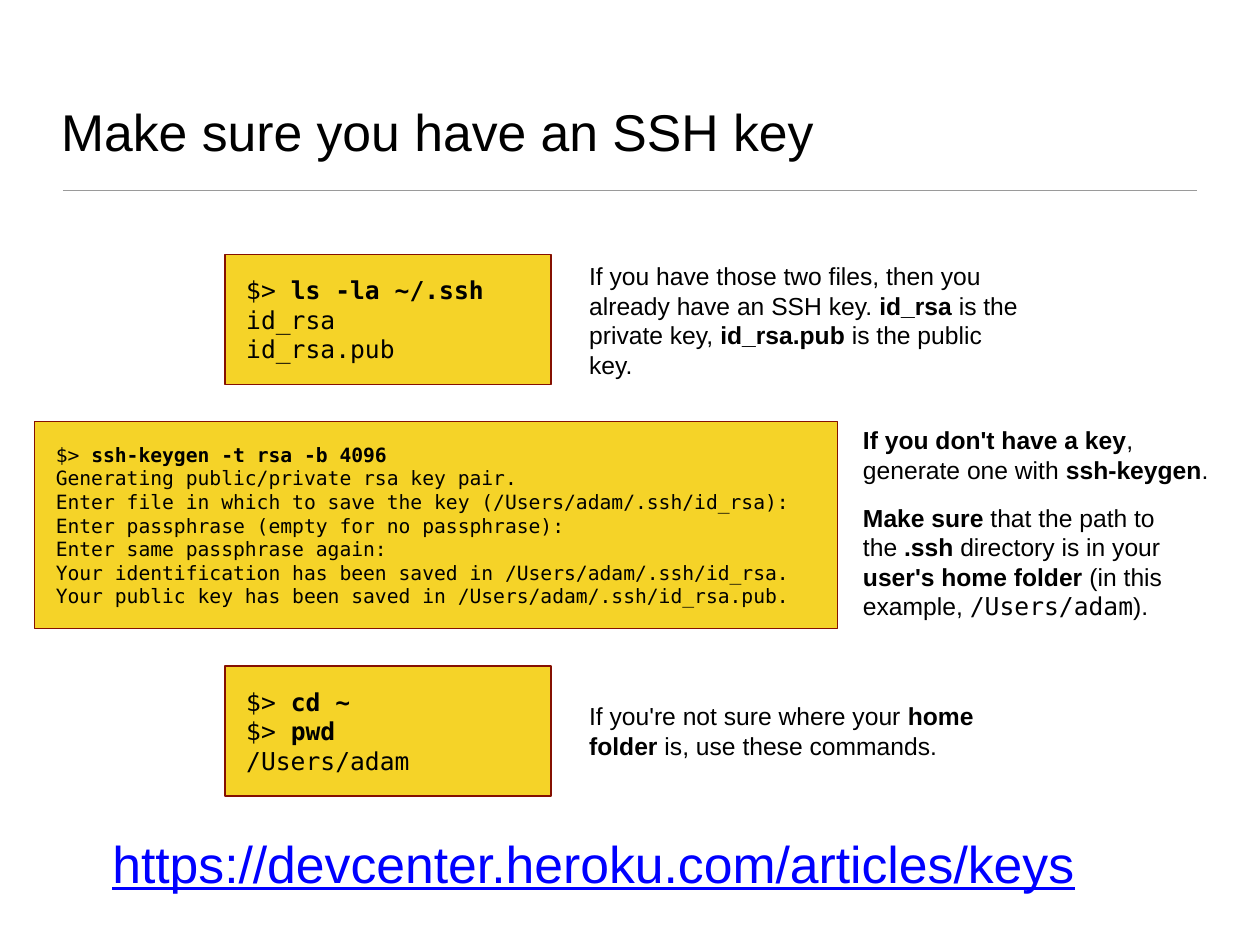
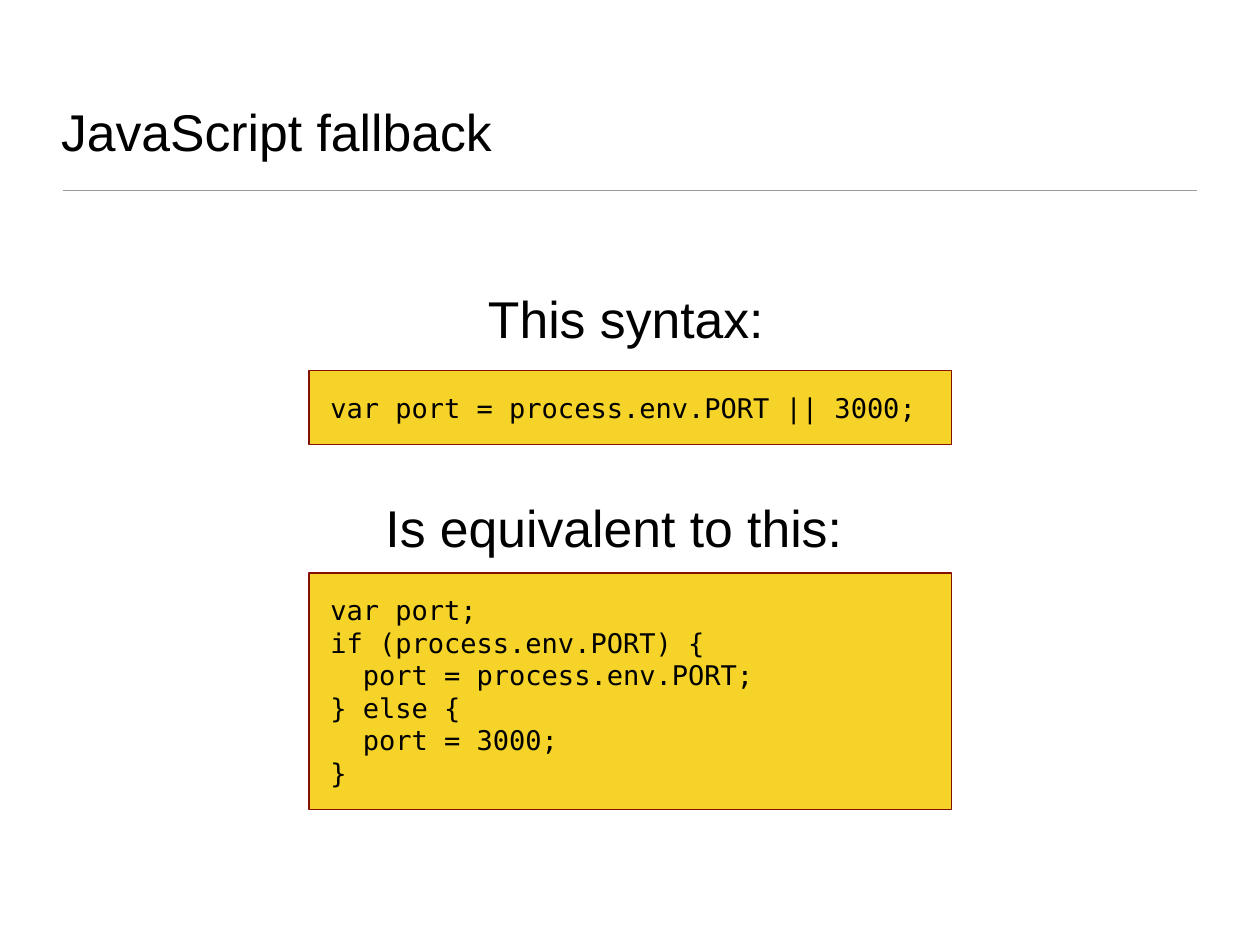
from pptx import Presentation
from pptx.dml.color import RGBColor
from pptx.enum.shapes import MSO_CONNECTOR as CONN, MSO_SHAPE as SHAPE
from pptx.enum.text import MSO_ANCHOR as ANCHOR, MSO_AUTO_SIZE as AUTO, PP_ALIGN as ALIGN
from pptx.oxml.ns import qn
from pptx.util import Cm, Pt
from lxml import etree

# Shared style
SANS, MONO = "Arial", "DejaVu Sans Mono"
BLACK, BLUE, YELLOW, RED, GREY = "000000", "0000FF", "F5D328", "851001", "9A9A9A"
SLIDE_SIZE = 36.12, 27.1
TITLE_BOX = 1.6, 0.91, 32.94, 3.89
RULE_LEFT, RULE_RIGHT, RULE_TOP = 1.8, 34.32, 5.46
TEXT_INSET, CODE_INSET = 0.15, 0.61
HEADING_SIZE, HEADING_HEIGHT = 42, 2.06

# Slide 1: rows of a code box and its notes; **bold**, `monospace`
KEY_TITLE = "Make sure you have an SSH key"
ROWS_TOP, ROW_GAP = 7.29, 1.07
KEY_ROWS = [
    # Code: left, width, height, size, lines.  Notes: left, width, (offset, height, text)
    dict(code=(6.45, 9.35, 3.73, 20, ["$> **ls -la ~/.ssh**", "id_rsa", "id_rsa.pub"]),
         note=(16.74, 12.93),
         notes=[(0.05, 3.68, "If you have those two files, then you already have an SSH key. "
                             "**id_rsa** is the private key, **id_rsa.pub** is the public key.")]),
    dict(code=(0.99, 23.01, 5.94, 16, [
            "$> **ssh-keygen -t rsa -b 4096**",
            "Generating public/private rsa key pair.",
            "Enter file in which to save the key (/Users/adam/.ssh/id_rsa):",
            "Enter passphrase (empty for no passphrase):",
            "Enter same passphrase again:",
            "Your identification has been saved in /Users/adam/.ssh/id_rsa.",
            "Your public key has been saved in /Users/adam/.ssh/id_rsa.pub."]),
         note=(24.59, 10.57),
         notes=[(-0.46, 2.82, "**If you don't have a key**, generate one with **ssh-keygen**."),
                (2.18, 3.68, "**Make sure** that the path to the **.ssh** directory is in your "
                             "**user's home folder** (in this example, `/Users/adam`).")]),
    dict(code=(6.45, 9.35, 3.73, 20, ["$> **cd ~**", "$> **pwd**", "/Users/adam"]),
         note=(16.74, 12.93),
         notes=[(0.86, 1.98, "If you're not sure where your **home folder** is, "
                             "use these commands.")]),
]
LINK = "https://devcenter.heroku.com/articles/keys"
LINK_BOX = 3.07, 23.7, 29.95, HEADING_HEIGHT

# Slide 2: headings (left, top, width) above code boxes (top, height)
FALLBACK_TITLE = "JavaScript fallback"
CODE_LEFT, CODE_WIDTH, CODE_SIZE = 8.86, 18.42, 22
FALLBACK_PARTS = [
    ("This syntax:", (13.84, 8.08, 8.43), (10.62, 2.13),
     ["var port = process.env.PORT || 3000;"]),
    ("Is equivalent to this:", (10.9, 14.07, 14.33), (16.43, 6.78),
     ["var port;",
      "if (process.env.PORT) {",
      "  port = process.env.PORT;",
      "} else {",
      "  port = 3000;",
      "}"]),
]


def rgb(color):
    return RGBColor.from_string(color)


def lengths(box):
    return [Cm(v) for v in box]


def write(sp, lines, size=20, font=SANS, color=BLACK, underline=None,
          anchor=ANCHOR.MIDDLE, inset=TEXT_INSET):
    """Fill a shape with paragraphs, reading **bold** and `monospace` marks."""
    tf = sp.text_frame
    tf.word_wrap, tf.auto_size, tf.vertical_anchor = True, AUTO.NONE, anchor
    tf.margin_left = tf.margin_right = tf.margin_top = tf.margin_bottom = Cm(inset)
    for i, line in enumerate(lines):
        p = tf.add_paragraph() if i else tf.paragraphs[0]
        p.alignment = ALIGN.LEFT
        for j, part in enumerate(line.split("**")):
            for k, text in enumerate(part.split("`")):
                if not text:
                    continue
                r = p.add_run()
                r.text = text
                r.font.size, r.font.name = Pt(size), MONO if k % 2 else font
                r.font.bold, r.font.underline = bool(j % 2), underline
                r.font.color.rgb = rgb(color)


def add_text(s, box, text, **fmt):
    write(s.shapes.add_textbox(*lengths(box)), [text], **fmt)


def add_code(s, box, lines, size):
    sp = s.shapes.add_shape(SHAPE.RECTANGLE, *lengths(box))
    sp.shadow.inherit = False
    sp.fill.solid()
    sp.fill.fore_color.rgb = rgb(YELLOW)
    sp.line.color.rgb = rgb(RED)
    sp.line.width = Pt(1)
    write(sp, lines, size=size, font=MONO, inset=CODE_INSET)


def add_slide(prs, title):
    """Title-only slide with the thin rule below its title."""
    s = prs.slides.add_slide(prs.slide_layouts[5])
    sp = s.shapes.title
    sp.left, sp.top, sp.width, sp.height = lengths(TITLE_BOX)
    write(sp, [title], size=HEADING_SIZE, anchor=ANCHOR.BOTTOM)
    rule = s.shapes.add_connector(
        CONN.STRAIGHT, *lengths((RULE_LEFT, RULE_TOP, RULE_RIGHT, RULE_TOP)))
    rule.line.color.rgb = rgb(GREY)
    rule.line.width = Pt(1)
    etree.SubElement(rule._element.spPr, qn("a:effectLst"))
    return s


def build_key_slide(prs):
    s = add_slide(prs, KEY_TITLE)
    top = ROWS_TOP
    for row in KEY_ROWS:
        left, width, height, size, lines = row["code"]
        add_code(s, (left, top, width, height), lines, size)
        note_left, note_width = row["note"]
        for offset, note_height, text in row["notes"]:
            add_text(s, (note_left, top + offset, note_width, note_height), text)
        top += height + ROW_GAP
    add_text(s, LINK_BOX, LINK, size=HEADING_SIZE, color=BLUE, underline=True)


def build_fallback_slide(prs):
    s = add_slide(prs, FALLBACK_TITLE)
    for heading, place, (top, height), lines in FALLBACK_PARTS:
        add_text(s, (*place, HEADING_HEIGHT), heading, size=HEADING_SIZE)
        add_code(s, (CODE_LEFT, top, CODE_WIDTH, height), lines, CODE_SIZE)


def main():
    prs = Presentation()
    prs.slide_width, prs.slide_height = lengths(SLIDE_SIZE)
    build_key_slide(prs)
    build_fallback_slide(prs)
    prs.save("out.pptx")


if __name__ == "__main__":
    main()
